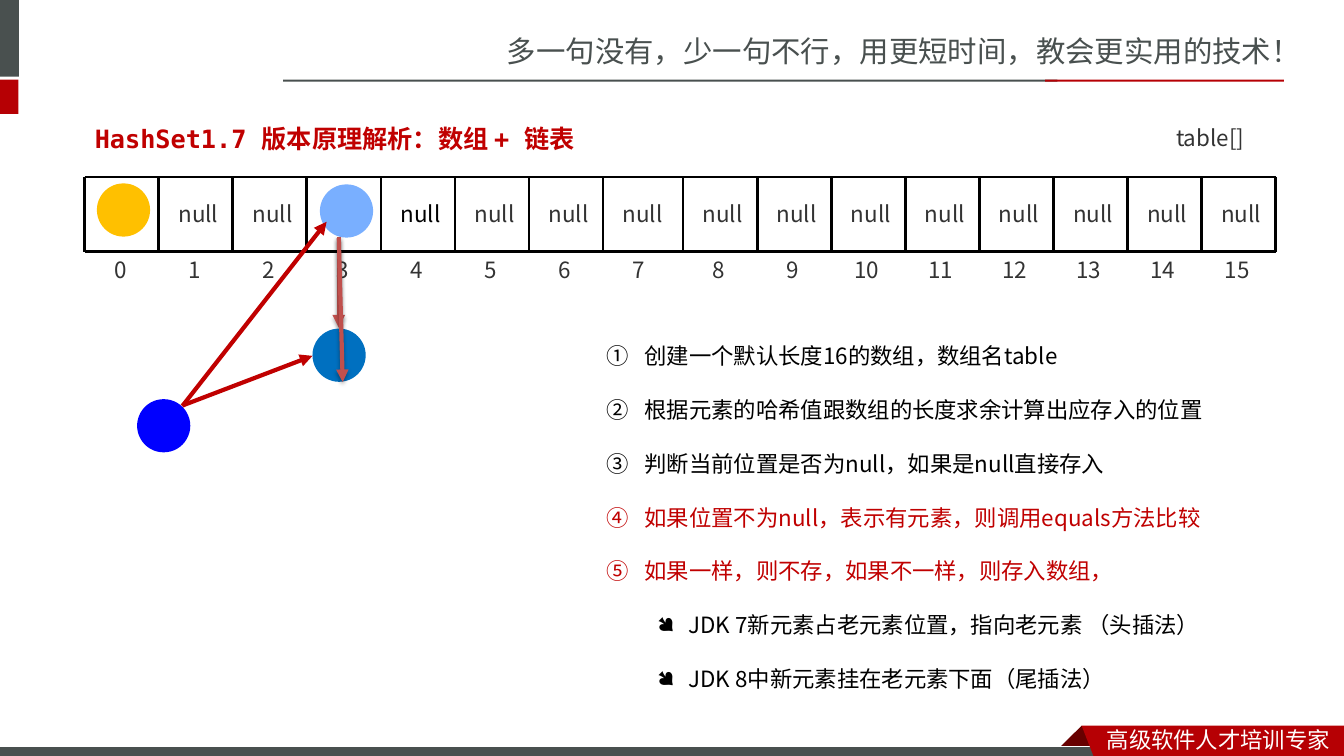
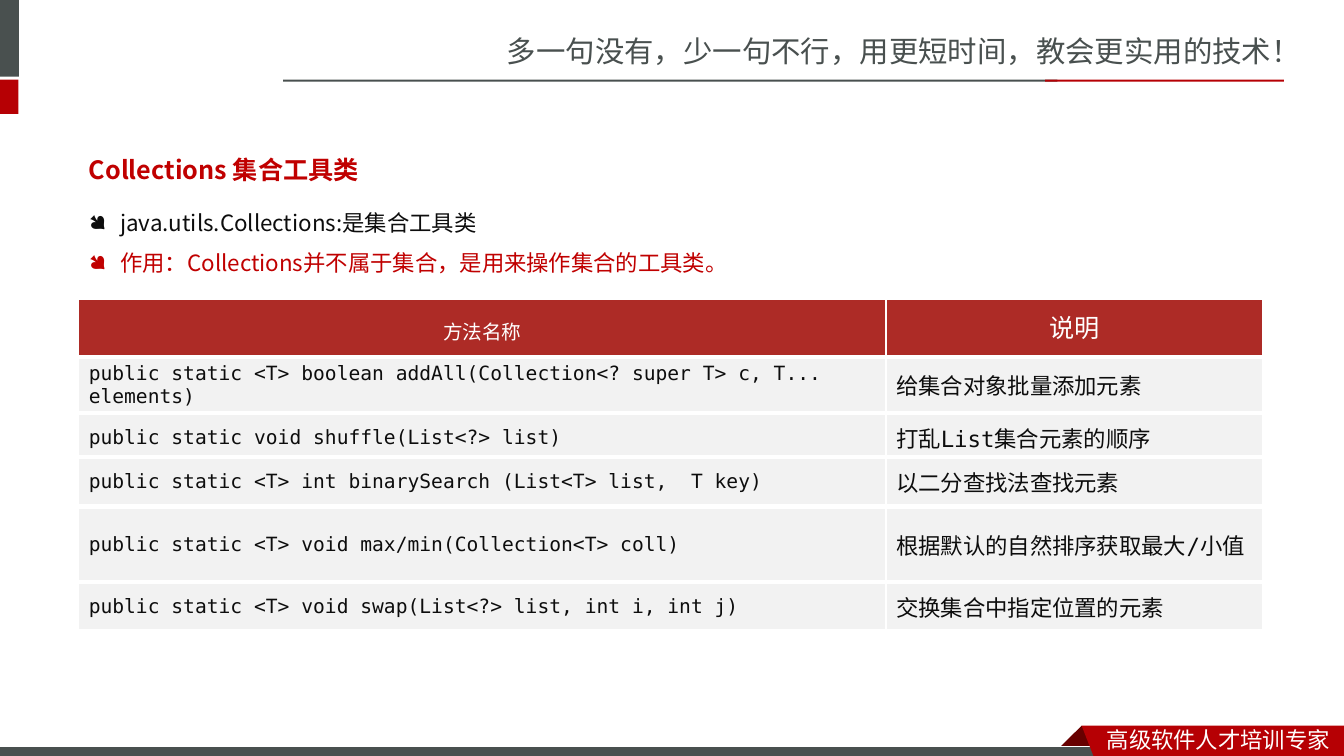
from dataclasses import dataclass
from typing import Any, Optional, Sequence

import pptx
import pptx.dml.color
import pptx.enum.shapes
import pptx.enum.text
import pptx.oxml.ns
import pptx.util
from lxml import etree

Pt = pptx.util.Pt
qn = pptx.oxml.ns.qn
PRESET = pptx.enum.shapes.MSO_SHAPE
ALIGN = pptx.enum.text.PP_ALIGN
ANCHOR = pptx.enum.text.MSO_ANCHOR


@dataclass(frozen=True)
class Theme:
    slate: str = "49504F"
    red: str = "B60004"
    dark_red: str = "680000"
    accent: str = "C00000"
    pointer: str = "C0504D"
    header: str = "AD2B26"
    row: str = "F2F2F2"
    white: str = "FFFFFF"
    black: str = "000000"
    ink: str = "0D0D0D"
    label: str = "333333"
    sans: str = "Noto Sans CJK SC"
    body: str = "Noto Sans CJK JP"
    mono: str = "DejaVu Sans Mono"
    latin: str = "Calibri"
    tagline_size: int = 21
    title_size: int = 18
    text_size: int = 16
    code_size: int = 14


THEME = Theme()


@dataclass(frozen=True)
class Box:
    left: float
    top: float
    width: float
    height: float

    def emu(self) -> list[int]:
        return [Pt(v) for v in (self.left, self.top, self.width, self.height)]


@dataclass(frozen=True)
class Style:
    size: float
    color: str
    face: str = THEME.sans
    bold: bool = False


@dataclass(frozen=True)
class Item:
    text: str
    color: str
    numbered: bool = False
    level: int = 0
    margin: float = 22.5
    hanging: float = 22.5


@dataclass(frozen=True)
class Arrow:
    start: tuple[float, float]
    end: tuple[float, float]
    color: str
    shadow: bool = False


@dataclass(frozen=True)
class Node:
    left: float
    top: float
    color: str


@dataclass(frozen=True)
class Method:
    signature: str
    purpose: str


LABEL = Style(THEME.text_size, THEME.label)


def rgb(color: str) -> Any:
    return pptx.dml.color.RGBColor.from_string(color)


def add_run(paragraph: Any, text: str, style: Style) -> None:
    run = paragraph.add_run()
    run.text = text
    font = run.font
    font.size, font.bold, font.name = Pt(style.size), style.bold, style.face
    font.color.rgb = rgb(style.color)
    east_asian = etree.Element(qn("a:ea"))
    east_asian.set("typeface", THEME.body if style.face == THEME.body else THEME.sans)
    run.font._element.find(qn("a:latin")).addnext(east_asian)


def add_label(slide: Any, box: Box, text: str, style: Style = LABEL) -> None:
    frame = slide.shapes.add_textbox(*box.emu()).text_frame
    frame.word_wrap = True
    add_run(frame.paragraphs[0], text, style)


def paint(shape: Any, fill: str, outline: Optional[str] = None) -> None:
    shape.shadow.inherit = False
    shape.fill.solid()
    shape.fill.fore_color.rgb = rgb(fill)
    if outline:
        shape.line.color.rgb = rgb(outline)
        shape.line.width = Pt(0.75)
    else:
        shape.line.fill.background()


def add_band(slide: Any, box: Box, fill: str, outline: Optional[str] = None) -> None:
    paint(slide.shapes.add_shape(PRESET.RECTANGLE, *box.emu()), fill, outline)


def add_outline(slide: Any, points: Sequence[tuple[float, float]], fill: str) -> None:
    corners = [(Pt(x), Pt(y)) for x, y in points]
    builder = slide.shapes.build_freeform(*corners[0])
    builder.add_line_segments(corners[1:], close=True)
    paint(builder.convert_to_shape(), fill)


def add_line(slide: Any, start: tuple[float, float], end: tuple[float, float],
             color: str = THEME.black, width: float = 2) -> Any:
    line = slide.shapes.add_connector(
        pptx.enum.shapes.MSO_CONNECTOR.STRAIGHT, *[Pt(v) for v in (*start, *end)])
    line.line.color.rgb = rgb(color)
    line.line.width = Pt(width)
    etree.SubElement(line.element.spPr, qn("a:effectLst"))
    return line


def add_arrow(slide: Any, arrow: Arrow) -> None:
    properties = add_line(slide, arrow.start, arrow.end, arrow.color, 3).element.spPr
    etree.SubElement(properties.find(qn("a:ln")), qn("a:tailEnd")).set("type", "triangle")
    if arrow.shadow:
        shadow = etree.SubElement(
            properties.find(qn("a:effectLst")), qn("a:outerShdw"),
            blurRad=str(Pt(3.1)), dist=str(Pt(1.8)), dir="5400000", rotWithShape="0")
        tint = etree.SubElement(shadow, qn("a:srgbClr"), val=THEME.black)
        etree.SubElement(tint, qn("a:alpha"), val="35000")


def add_node(slide: Any, node: Node) -> None:
    box = Box(node.left, node.top, 38, 38)
    paint(slide.shapes.add_shape(PRESET.OVAL, *box.emu()), node.color)


def place(placeholder: Any, box: Box) -> Any:
    """Position a placeholder and return its top-anchored text frame."""
    placeholder.left, placeholder.top, placeholder.width, placeholder.height = box.emu()
    frame = placeholder.text_frame
    frame.word_wrap = True
    frame.auto_size = pptx.enum.text.MSO_AUTO_SIZE.NONE
    frame.vertical_anchor = ANCHOR.TOP
    return frame


def set_title(slide: Any, box: Box, text: str, face: str, spacing: float = 1) -> None:
    paragraph = place(slide.shapes.title, box).paragraphs[0]
    paragraph.alignment = ALIGN.LEFT
    paragraph.line_spacing = spacing
    add_run(paragraph, text, Style(THEME.title_size, THEME.accent, face, True))


def set_list(slide: Any, box: Box, items: Sequence[Item], spacing: float) -> None:
    frame = place(slide.placeholders[1], box)
    for index, item in enumerate(items):
        paragraph = frame.add_paragraph() if index else frame.paragraphs[0]
        paragraph.level = item.level
        properties = paragraph._p.get_or_add_pPr()
        properties.set("marL", str(Pt(item.margin)))
        properties.set("indent", str(Pt(-item.hanging)))
        if item.numbered:
            etree.SubElement(properties, qn("a:buFont"), typeface="+mj-ea")
            etree.SubElement(properties, qn("a:buAutoNum"), type="circleNumDbPlain")
        else:
            etree.SubElement(properties, qn("a:buFont"), typeface="Wingdings")
            etree.SubElement(properties, qn("a:buChar"), char="●")
        paragraph.line_spacing = spacing
        paragraph.space_before = Pt(0)
        add_run(paragraph, item.text, Style(THEME.text_size, item.color, THEME.body))


def draw_frame(slide: Any) -> None:
    add_label(slide, Box(355, 20.2, 605, 34), "多一句没有，少一句不行，用更短时间，教会更实用的技术！",
              Style(THEME.tagline_size, THEME.slate))
    add_band(slide, Box(-4, 0, 17.5, 54.7), THEME.slate)
    add_band(slide, Box(-4, 56.9, 17.2, 24.5), THEME.red)
    add_band(slide, Box(202.3, 56.9, 553, 1.4), THEME.slate)
    add_band(slide, Box(746.6, 56.9, 170.6, 1.4), THEME.red)
    add_outline(slide, [(772.6, 518.4), (788.4, 534.2), (787.7, 535),
                        (757.4, 535), (756.7, 534.2)], THEME.dark_red)
    add_band(slide, Box(-0.7, 533.5, 792, 8.6), THEME.slate, THEME.white)
    add_outline(slide, [(772.6, 518.4), (960, 518.4), (960, 542.9), (781.9, 542.2)], THEME.red)
    add_label(slide, Box(783.4, 514.8, 176.4, 26.6), "高级软件人才培训专家",
              Style(THEME.text_size, THEME.white))


def share_frame(slide: Any) -> None:
    """Put the frame on the slide's layout, in place of its footer placeholders."""
    layout = slide.slide_layout
    for placeholder in list(layout.placeholders):
        if placeholder.placeholder_format.idx >= 10:
            layout.shapes.element.remove(placeholder.element)
    kept = len(slide.shapes)
    draw_frame(slide)
    for shape in list(slide.shapes)[kept:]:
        layout.shapes.element.append(shape.element)


def draw_array(slide: Any) -> None:
    top, bottom, cells, pitch = 126.4, 179.8, 16, 52.9
    occupied = (0, 3)
    edges = [60.5 + pitch * i + (4.2 if i >= 8 else 0) for i in range(cells + 1)]
    for y in (top, bottom):
        add_line(slide, (edges[0], y), (edges[-1], y))
    for x in edges:
        add_line(slide, (x, top), (x, bottom))
    for index, x in enumerate(edges[:-1]):
        if index not in occupied:
            color = THEME.black if index == 4 else THEME.label
            add_label(slide, Box(x + 7, 139.7, 43.2, 26.6), "null", Style(THEME.text_size, color))
        width = 24 if index < 10 else 33
        add_label(slide, Box(x + 26 - width / 2, 179.3, width, 26.6), str(index))


def build_hash_slide(slide: Any) -> None:
    set_title(slide, Box(60.5, 73.4, 530, 36.7), "HashSet1.7 版本原理解析：数组 + 链表", THEME.mono, 1.5)
    steps = [
        ("创建一个默认长度16的数组，数组名table", THEME.black),
        ("根据元素的哈希值跟数组的长度求余计算出应存入的位置", THEME.black),
        ("判断当前位置是否为null，如果是null直接存入", THEME.black),
        ("如果位置不为null，表示有元素，则调用equals方法比较", THEME.accent),
        ("如果一样，则不存，如果不一样，则存入数组，", THEME.accent),
    ]
    insertions = ["JDK 7新元素占老元素位置，指向老元素 （头插法）", "JDK 8中新元素挂在老元素下面（尾插法）"]
    items = [Item(text, color, True, 0, 27, 27) for text, color in steps]
    items += [Item(text, THEME.black, level=1, margin=58.5) for text in insertions]
    set_list(slide, Box(426.2, 221.8, 533, 285), items, 2)
    add_label(slide, Box(833, 85, 64, 26.6), "table[]")
    draw_array(slide)

    add_node(slide, Node(228.5, 131.7, "79AFFF"))
    add_node(slide, Node(69.2, 131, "FFC000"))
    add_arrow(slide, Arrow((242, 169.2), (242, 234), THEME.pointer, True))
    add_arrow(slide, Arrow((130.3, 289.7), (223.2, 254.2), THEME.accent))
    add_node(slide, Node(97.9, 285.1, "0000FF"))
    add_arrow(slide, Arrow((130.3, 290), (233.3, 158.4), THEME.accent))
    add_node(slide, Node(223.2, 234.7, "0070C0"))
    add_arrow(slide, Arrow((242, 170), (244.8, 272.9), THEME.pointer, True))


def fill_cell(cell: Any, text: str, style: Style, header: bool) -> None:
    cell.fill.solid()
    cell.fill.fore_color.rgb = rgb(THEME.header if header else THEME.row)
    cell.vertical_anchor = ANCHOR.MIDDLE
    paragraph = cell.text_frame.paragraphs[0]
    if header:
        paragraph.alignment = ALIGN.CENTER
        paragraph.line_spacing = Pt(24)
    add_run(paragraph, text, style)
    sides = {"lnL": 1, "lnR": 1, "lnT": 1 if header else 3, "lnB": 3}
    for position, (side, width) in enumerate(sides.items()):
        border = etree.Element(qn(f"a:{side}"), w=str(Pt(width)))
        solid = etree.SubElement(border, qn("a:solidFill"))
        etree.SubElement(solid, qn("a:srgbClr"), val=THEME.white)
        cell._tc.get_or_add_tcPr().insert(position, border)


def add_methods(slide: Any, top: float, methods: Sequence[Method], header: bool = False) -> None:
    heights = [41 if header and not i else 35.3 for i in range(len(methods))]
    box = Box(56.2, top, 846, sum(heights))
    table = slide.shapes.add_table(len(methods), 2, *box.emu()).table
    table.first_row = table.horz_banding = False
    for column, width in zip(table.columns, (576.7, 269.3)):
        column.width = Pt(width)
    for index, method in enumerate(methods):
        table.rows[index].height = Pt(heights[index])
        heading = header and index == 0
        color = THEME.white if heading else THEME.ink
        purpose = (Style(THEME.title_size, color, THEME.latin) if heading
                   else Style(THEME.text_size, color, THEME.mono))
        fill_cell(table.cell(index, 0), method.signature,
                  Style(THEME.code_size, color, THEME.mono), heading)
        fill_cell(table.cell(index, 1), method.purpose, purpose, heading)


def build_collections_slide(slide: Any) -> None:
    set_title(slide, Box(56.2, 106.6, 480, 28.8), "Collections 集合工具类", THEME.body)
    set_list(slide, Box(56.2, 136.1, 480, 62), [
        Item("java.utils.Collections:是集合工具类", THEME.ink),
        Item("作用：Collections并不属于集合，是用来操作集合的工具类。", THEME.accent),
    ], 1.5)
    add_methods(slide, 213.8, [
        Method("方法名称", "说明"),
        Method("public static <T> boolean addAll(Collection<? super T> c, T... elements)", "给集合对象批量添加元素"),
        Method("public static void shuffle(List<?> list)", "打乱List集合元素的顺序"),
    ], header=True)
    add_methods(slide, 326.2, [
        Method("public static <T> int binarySearch (List<T> list,  T key)", "以二分查找法查找元素"),
    ])
    add_methods(slide, 362.2, [
        Method("public static <T> void max/min(Collection<T> coll)", "根据默认的自然排序获取最大/小值"),
        Method("public static <T> void swap(List<?> list, int i, int j)", "交换集合中指定位置的元素"),
    ])


def main() -> None:
    deck = pptx.Presentation()
    deck.slide_width, deck.slide_height = Pt(960), Pt(540)
    layout = deck.slide_layouts[1]
    hash_slide = deck.slides.add_slide(layout)
    share_frame(hash_slide)
    build_hash_slide(hash_slide)
    build_collections_slide(deck.slides.add_slide(layout))
    deck.save("out.pptx")


if __name__ == "__main__":
    main()
